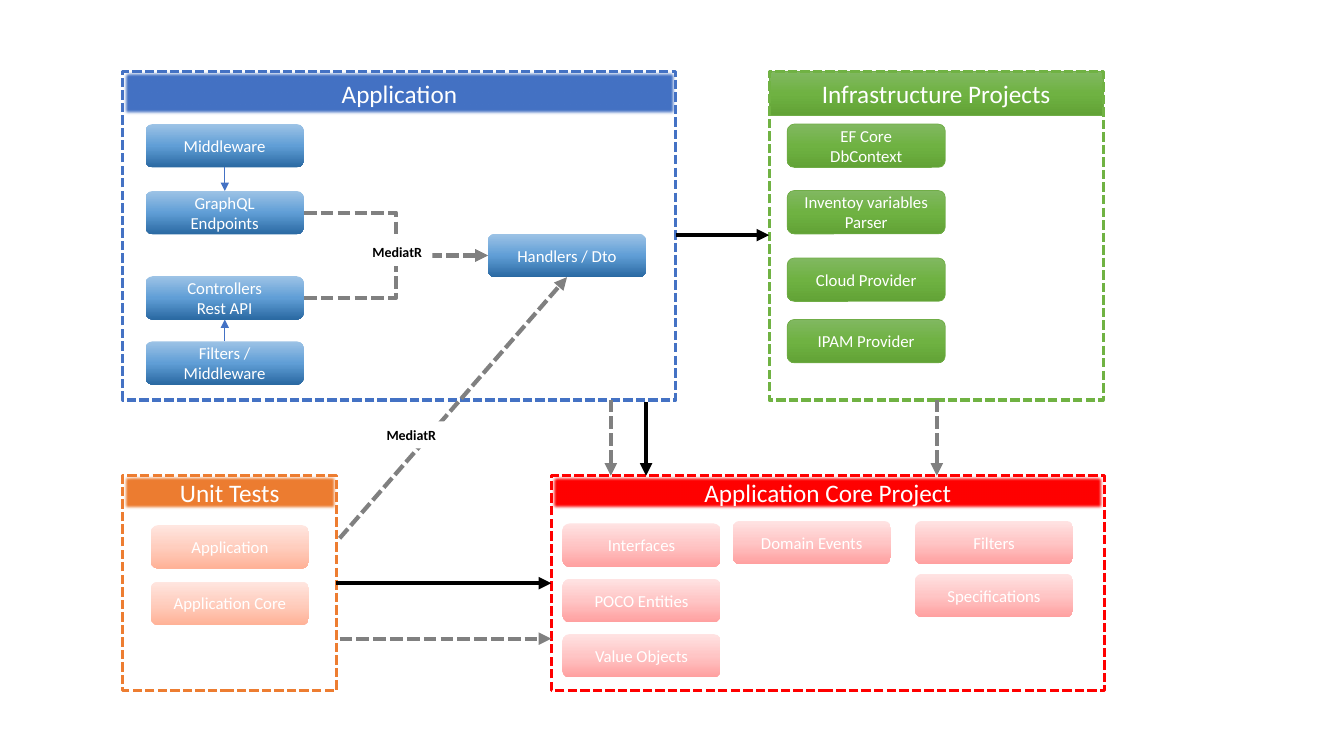
"""Build the slide of application layers and their dependencies."""
from lxml import etree
from pptx import Presentation
from pptx.dml.color import RGBColor
from pptx.enum import dml, shapes, text
from pptx.oxml.ns import qn
from pptx.util import Pt

HUES = {
    "app": "4472C4", "infra": "70B243", "core": "FF0000", "test": "ED7D31",
    "edge": "325491", "rim": "70AD47", "white": "FFFFFF", "black": "000000",
    "gray": "808080",
}
FADES = {
    "app": ("9DC3E6", "609ED6", "2A69A2"),
    "infra": ("81B861", "6FB242", "62A336"),
    "core": ("FFE3E3", "FFC5C5", "FFA0A0"),
    "test": ("FFE6E0", "FFCEBF", "FFB297"),
}
BOX_W, BOX_H = 113, 31

deck = Presentation()
deck.slide_width, deck.slide_height = Pt(960), Pt(540)
slide = deck.slides.add_slide(deck.slide_layouts[6])


def block(kind, area, words="", size=12, hue="white", fade=None, fill=None):
    """Add a shape with centred text and a gradient, plain or no fill."""
    shape = slide.shapes.add_shape(kind, *(Pt(v) for v in area))
    shape.shadow.inherit = False
    shape.line.fill.background()
    if fade:
        shape.fill.gradient()
        shape.fill.gradient_angle = 270
        stops = shape.element.spPr.find(".//" + qn("a:gsLst"))
        for stop in list(stops):
            stops.remove(stop)
        for step, tone in enumerate(FADES[fade]):
            stop = etree.SubElement(stops, qn("a:gs"), pos=str(step * 50000))
            etree.SubElement(stop, qn("a:srgbClr"), val=tone)
    elif fill:
        shape.fill.solid()
        shape.fill.fore_color.rgb = RGBColor.from_string(HUES[fill])
    else:
        shape.fill.background()
    frame = shape.text_frame
    frame.text = words
    frame.vertical_anchor = text.MSO_ANCHOR.MIDDLE
    for para in frame.paragraphs:
        para.alignment = text.PP_ALIGN.CENTER
        for run in para.runs:
            run.font.name, run.font.size = "Calibri", Pt(size)
            run.font.color.rgb = RGBColor.from_string(HUES[hue])
    return shape


def rule(line, hue, width, dash=False):
    """Style a line or outline."""
    line.color.rgb = RGBColor.from_string(HUES[hue])
    line.width = Pt(width)
    if dash:
        line.dash_style = dml.MSO_LINE.SQUARE_DOT


panels = [
    ("app", "Application", 87.8, 51.1, 395, 234.7, 31),
    ("infra", "Infrastructure Projects", 549.4, 51.1, 238.6, 234.7, 31),
    ("core", "Application Core Project", 393.8, 339.8, 395, 153.4, 24.5),
    ("test", "Unit Tests", 87.8, 339.8, 152.6, 153.4, 24.5),
]
rect = shapes.MSO_SHAPE.RECTANGLE
for key, name, left, top, wide, high, head in panels:
    green = key == "infra"
    bar = block(rect, (left, top, wide, head), name, 18,
                fade=key if green else None, fill=key)
    if green:
        rule(bar.line, "rim", 0.5)
    else:
        rule(bar.line, "edge", 1)
        glow = bar.element.spPr.find(qn("a:effectLst"))
        etree.SubElement(glow, qn("a:softEdge"), rad="31750")
    border = block(rect, (left, top, wide, high))
    rule(border.line, key, 2.25, True)

boxes = {
    "app": [
        ("Middleware", 104, 88.6), ("GraphQL\nEndpoints", 104, 136.4),
        ("Controllers\nRest API", 104, 197.3),
        ("Filters / Middleware", 104, 243.8), ("Handlers / Dto", 348.5, 167),
    ],
    "infra": [
        ("EF Core\nDbContext", 562.3, 88.6),
        ("Inventoy variables\nParser", 562.3, 136.1),
        ("Cloud Provider", 562.3, 184.3), ("IPAM Provider", 562.3, 228.2),
    ],
    "core": [
        ("Interfaces", 401.8, 373.9), ("POCO Entities", 401.8, 413.4),
        ("Value Objects", 401.8, 452.9), ("Domain Events", 523.4, 372),
        ("Filters", 653.6, 372), ("Specifications", 653.6, 409.8),
    ],
    "test": [("Application", 107.8, 375.1), ("Application Core", 107.8, 415.4)],
}
for key, group in boxes.items():
    for name, left, top in group:
        box = block(shapes.MSO_SHAPE.ROUNDED_RECTANGLE,
                    (left, top, BOX_W, BOX_H), name, fade=key)
        if key == "infra":
            rule(box.line, "rim", 0.5)

plain, elbow = shapes.MSO_CONNECTOR.STRAIGHT, shapes.MSO_CONNECTOR.ELBOW
arrows = [
    (plain, "app", 0.5, (160.6, 119.6, 160.6, 136.4)),
    (plain, "app", 0.5, (160.6, 243.8, 160.6, 228.3)),
    (elbow, "gray", 3, (217.2, 151.9, 348.5, 182.5)),
    (elbow, "gray", 3, (217.2, 212.8, 348.5, 182.5)),
    (plain, "black", 3, (482.8, 168, 549.4, 168)),
    (plain, "black", 3, (461.5, 287.5, 461.5, 339.8)),
    (plain, "gray", 3, (436.3, 285.5, 436.3, 339.8)),
    (plain, "gray", 3, (669.2, 285.5, 669.2, 339.8)),
    (plain, "black", 3, (240.1, 416.6, 393.8, 416.6)),
    (plain, "gray", 3, (242.6, 456.2, 393.8, 456.2)),
    (plain, "gray", 3, (242.6, 384.5, 405, 198)),
]
for kind, hue, width, ends in arrows:
    arrow = slide.shapes.add_connector(kind, *(Pt(v) for v in ends))
    rule(arrow.line, hue, width, hue == "gray")
    props = arrow.element.spPr
    etree.SubElement(props.find(qn("a:ln")), qn("a:tailEnd"), type="triangle")
    etree.SubElement(props, qn("a:effectLst"))

for left, top in [(258.5, 170.6), (268.6, 301)]:
    tag = block(rect, (left, top, 50.4, 19.4), "MediatR", 10, "black", fill="white")
    tag.text_frame.word_wrap = False
    tag.text_frame.paragraphs[0].runs[0].font.bold = True

deck.save("out.pptx")
